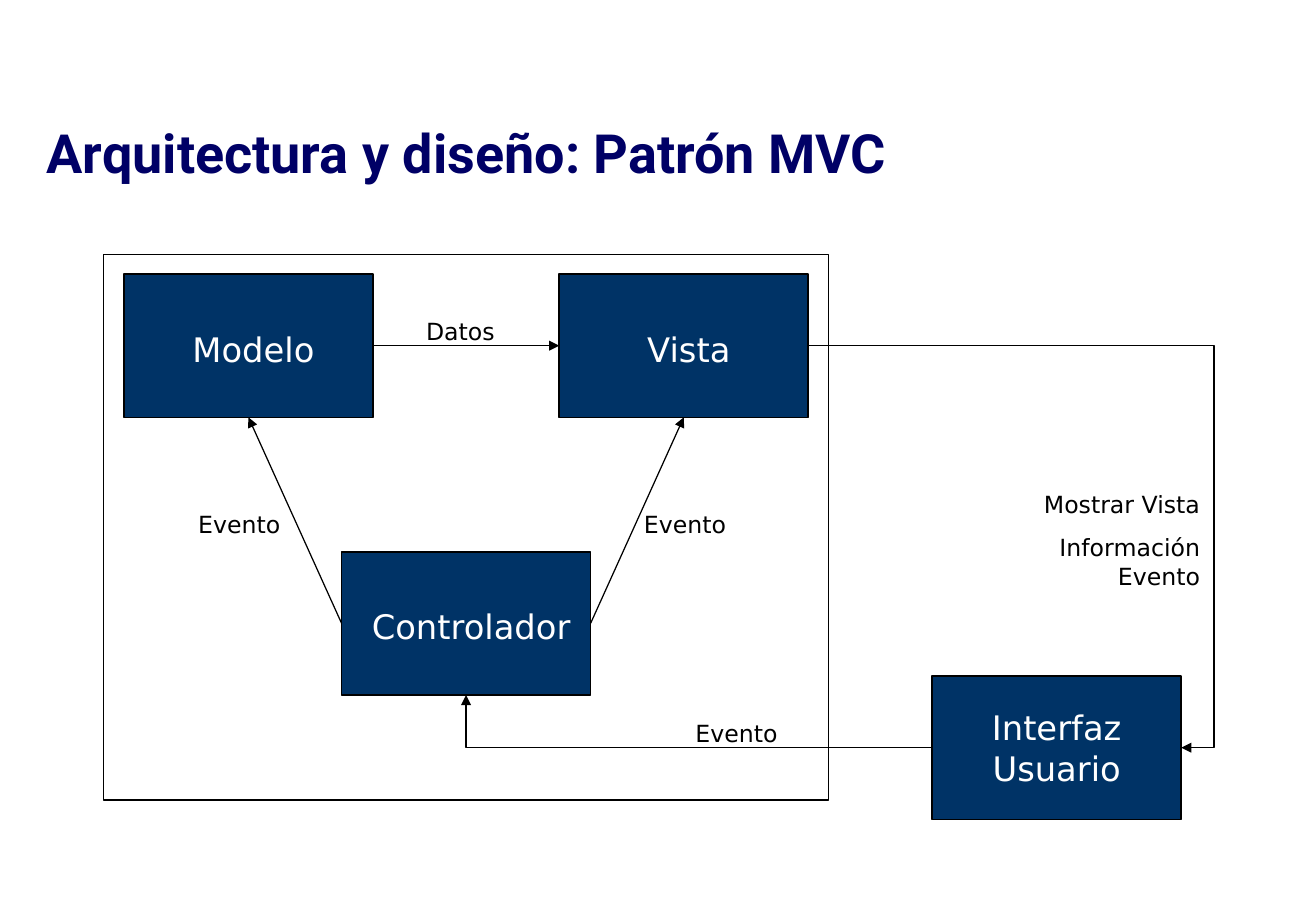
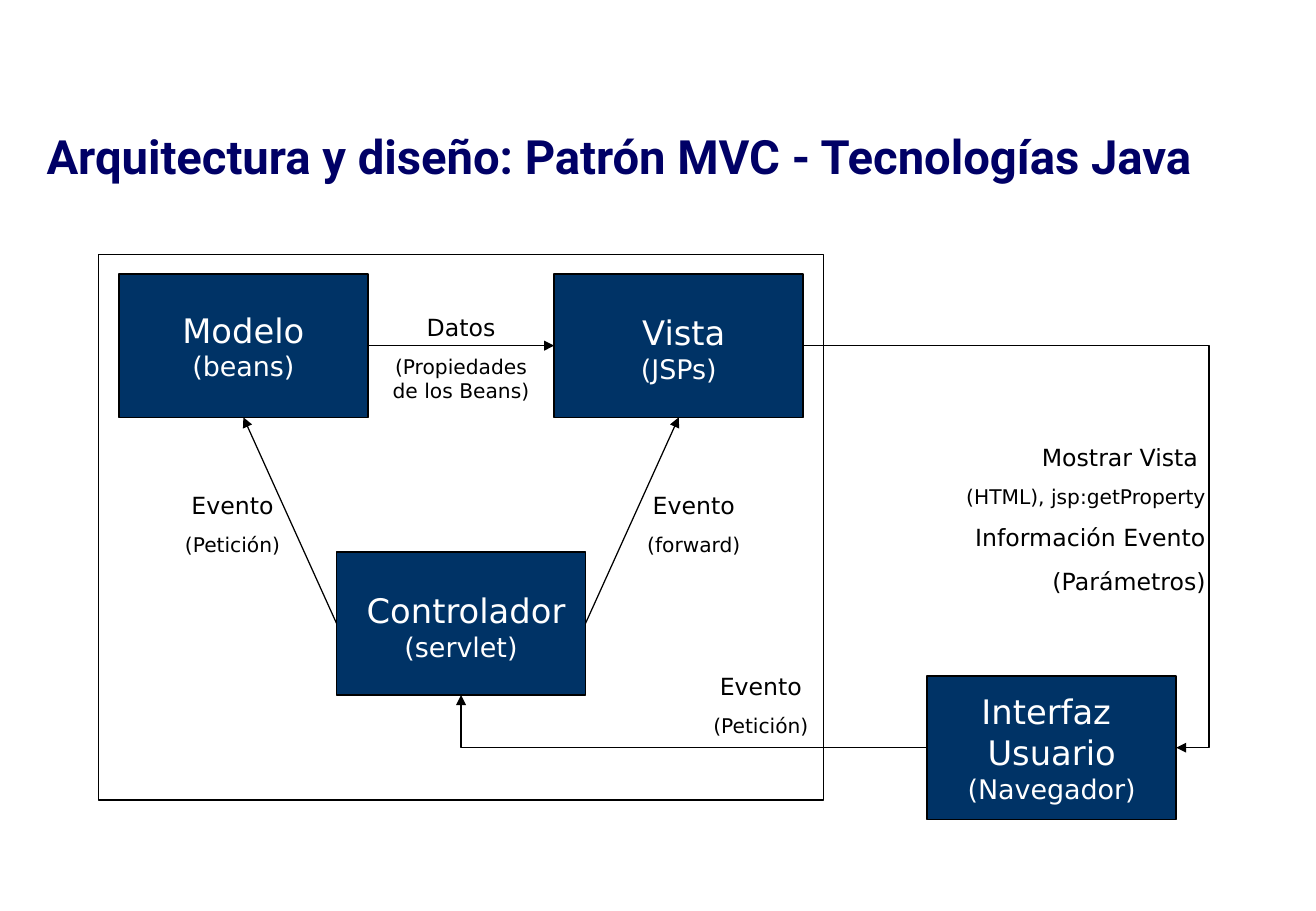
"""Build two slides that explain the MVC pattern."""
from pptx import Presentation
from pptx.dml.color import RGBColor
from pptx.enum.shapes import MSO_CONNECTOR as Conn, MSO_SHAPE as Shape
from pptx.enum.text import MSO_ANCHOR as Anchor, PP_ALIGN as Align
from pptx.oxml.ns import qn
from pptx.util import Pt
from lxml.etree import SubElement

BLACK = RGBColor(0, 0, 0)
WHITE = RGBColor(255, 255, 255)
BLUE = RGBColor(0, 0x33, 0x66)
NAVY = RGBColor(0, 0, 0x66)
BODY = "DejaVu Sans"
HEAD = "Roboto"

BOX_W, BOX_H = 147.7, 85
STEP = 129.1
TOP, MID, LOW = 162.4, 327, 400.7
BOXES = {
    "model": (12.2, TOP),
    "view": (12.2 + 2 * STEP, TOP),
    "control": (12.2 + STEP, MID),
    "user": (491.6, LOW),
}
N, W, S, E = range(4)
LINKS = [
    ("control", W, "model", S, "line", None),
    ("control", E, "view", S, "line", None),
    ("model", E, "view", W, "line", None),
    ("view", E, "user", E, "bentConnector3", 108800),
    ("user", W, "control", S, "bentConnector2", None),
]

SLIDES = [
    {
        "title": ("Arquitectura y diseño: Patrón MVC", 32, 642),
        "left": 61.3,
        "boxes": {
            "model": [("Modelo", 20, 6, 0)],
            "view": [("Vista", 20, 6, 0)],
            "control": [("Controlador", 20, 6, 0)],
            "user": [("Interfaz", 20, 0, 0), ("Usuario", 20, 0, 0)],
        },
        "labels": [
            (374.8, 298.8, 80, Align.LEFT, [("Evento", 14, 0, 0)]),
            (110.5, 298.8, 80, Align.LEFT, [("Evento", 14, 0, 0)]),
            (245.6, 184, 61.2, Align.LEFT, [("Datos", 14, 0, 0)]),
            (405.4, 422.5, 80, Align.LEFT, [("Evento", 14, 0, 0)]),
            (602.3, 287, 116.6, Align.RIGHT,
             [("Mostrar Vista", 14, 0, 0), ("Información Evento", 14, 0, 0)]),
        ],
    },
    {
        "title": ("Arquitectura y diseño: Patrón MVC - Tecnologías Java", 28, 700.6),
        "left": 58.3,
        "boxes": {
            "model": [("Modelo", 20, 0, 0), ("(beans)", 16, 0, 0)],
            "view": [("Vista", 20, 6, 0), ("(JSPs)", 16, 0, 0)],
            "control": [("Controlador", 20, 6, 0), ("(servlet)", 16, 0, 0)],
            "user": [("Interfaz", 20, 0, 6.4), ("Usuario", 20, 0, 0),
                     ("(Navegador)", 16, 0, 0)],
        },
        "labels": [
            (371.5, 287.7, 80, Align.CENTER,
             [("Evento", 14, 0, 0), ("(forward)", 12, 0, 0)]),
            (218, 181.9, 110.9, Align.CENTER,
             [("Datos", 14, 0, 0), ("(Propiedades de los Beans)", 12, 0, 0)]),
            (402, 395, 98.6, Align.CENTER,
             [("Evento", 14, 0, 0), ("(Petición)", 12, 0, 0)]),
            (543.6, 259, 178.6, Align.RIGHT,
             [("Mostrar Vista", 14, 0, 4.5), ("(HTML), jsp:getProperty", 12, 0, 0),
              ("Información Evento", 14, 0, 0), ("(Parámetros)", 14, 0, 0)]),
            (88.9, 287.7, 98, Align.CENTER,
             [("Evento", 14, 0, 0), ("(Petición)", 12, 0, 0)]),
        ],
    },
]


def write(frame, lines, color, align, gap=0, face=BODY, bold=False):
    frame.word_wrap = True
    for i, (text, size, left, right) in enumerate(lines):
        para = frame.add_paragraph() if i else frame.paragraphs[0]
        para.text = text
        para.alignment = align
        if i:
            para.space_before = Pt(gap * size)
        props = para._p.get_or_add_pPr()
        props.set("marL", str(int(Pt(left))))
        props.set("marR", str(int(Pt(right))))
        font = para.runs[0].font
        font.name, font.size, font.bold = face, Pt(size), bold
        font.color.rgb = color


def add_text(slide, x, y, w, h):
    return slide.shapes.add_textbox(Pt(x), Pt(y), Pt(w), Pt(h)).text_frame


def add_rect(slide, x, y, w, h, weight, fill=None):
    rect = slide.shapes.add_shape(Shape.RECTANGLE, Pt(x), Pt(y), Pt(w), Pt(h))
    rect.shadow.inherit = False
    if fill is None:
        rect.fill.background()
    else:
        rect.fill.solid()
        rect.fill.fore_color.rgb = fill
    rect.line.color.rgb = BLACK
    rect.line.width = Pt(weight)
    return rect


def add_link(slide, start, out, end, into, kind, bend):
    form = Conn.STRAIGHT if kind == "line" else Conn.ELBOW
    link = slide.shapes.add_connector(form, 0, 0, 0, 0)
    link.begin_connect(start, out)
    link.end_connect(end, into)
    link.line.color.rgb = BLACK
    link.line.width = Pt(0.75)
    props = link._element.spPr
    geom = props.find(qn("a:prstGeom"))
    geom.set("prst", kind)
    if bend:
        SubElement(geom.find(qn("a:avLst")), qn("a:gd"), name="adj1", fmla=f"val {bend}")
    SubElement(props.find(qn("a:ln")), qn("a:tailEnd"), type="triangle")
    SubElement(props, qn("a:effectLst"))


def build(deck, data):
    slide = deck.slides.add_slide(deck.slide_layouts[6])
    title, size, width = data["title"]
    frame = add_text(slide, 24, 18.2, width, 94.3)
    frame.vertical_anchor = Anchor.BOTTOM
    frame.margin_left = frame.margin_right = Pt(3.6)
    write(frame, [(title, size, 0, 0)], NAVY, Align.LEFT, face=HEAD, bold=True)

    add_rect(slide, data["left"], 151, 430, 323.3, 0.75)
    nodes = {}
    for name, (x, y) in BOXES.items():
        node = add_rect(slide, data["left"] + x, y, BOX_W, BOX_H, 1, BLUE)
        lines = data["boxes"][name]
        node.text_frame.vertical_anchor = Anchor.MIDDLE
        node.text_frame.margin_top = Pt(7 if lines[0][2] else 3.6)
        write(node.text_frame, lines, WHITE, Align.CENTER)
        nodes[name] = node
    for start, out, end, into, kind, bend in LINKS:
        add_link(slide, nodes[start], out, nodes[end], into, kind, bend)
    for x, y, w, align, lines in data["labels"]:
        high = 7.2 + sum(1.8 * line[1] for line in lines)
        write(add_text(slide, x, y, w, high), lines, BLACK, align, 0.63)


def main():
    deck = Presentation()
    deck.slide_width = Pt(780.48)
    deck.slide_height = Pt(540)
    for data in SLIDES:
        build(deck, data)
    deck.save("out.pptx")


if __name__ == "__main__":
    main()
